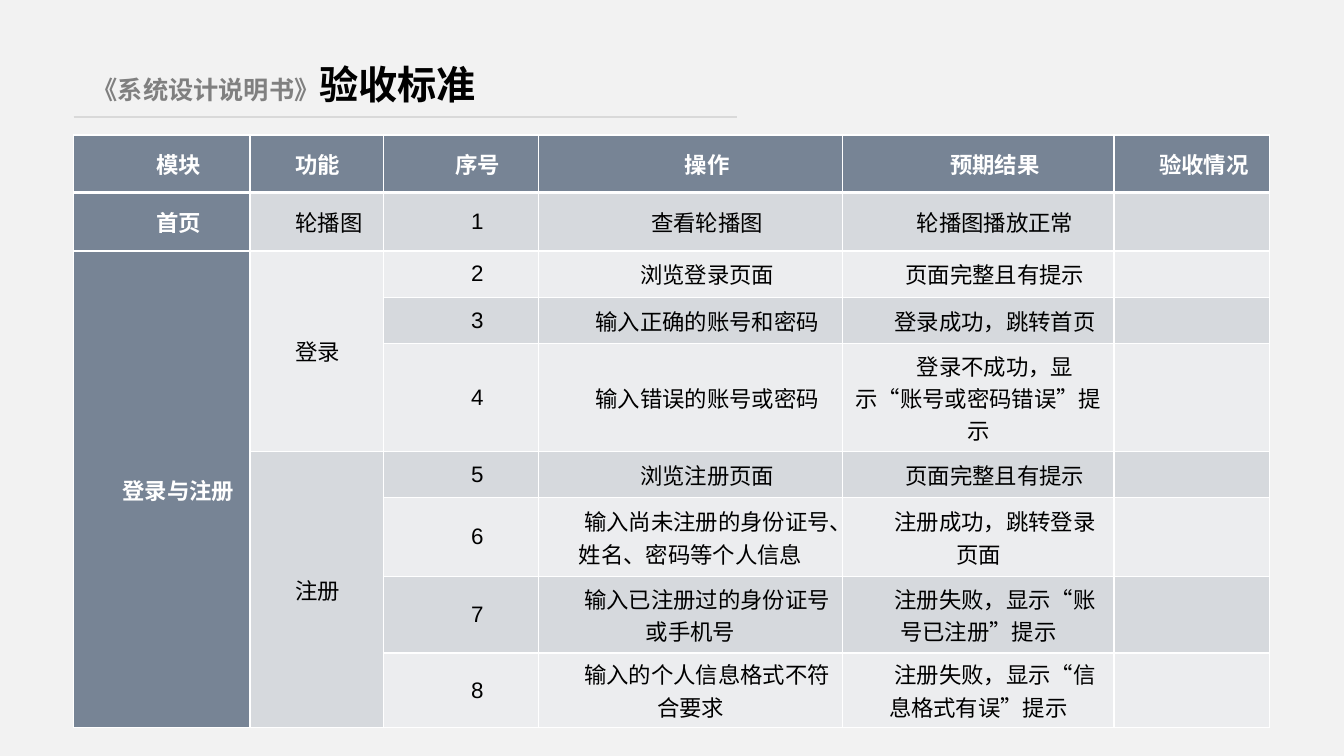
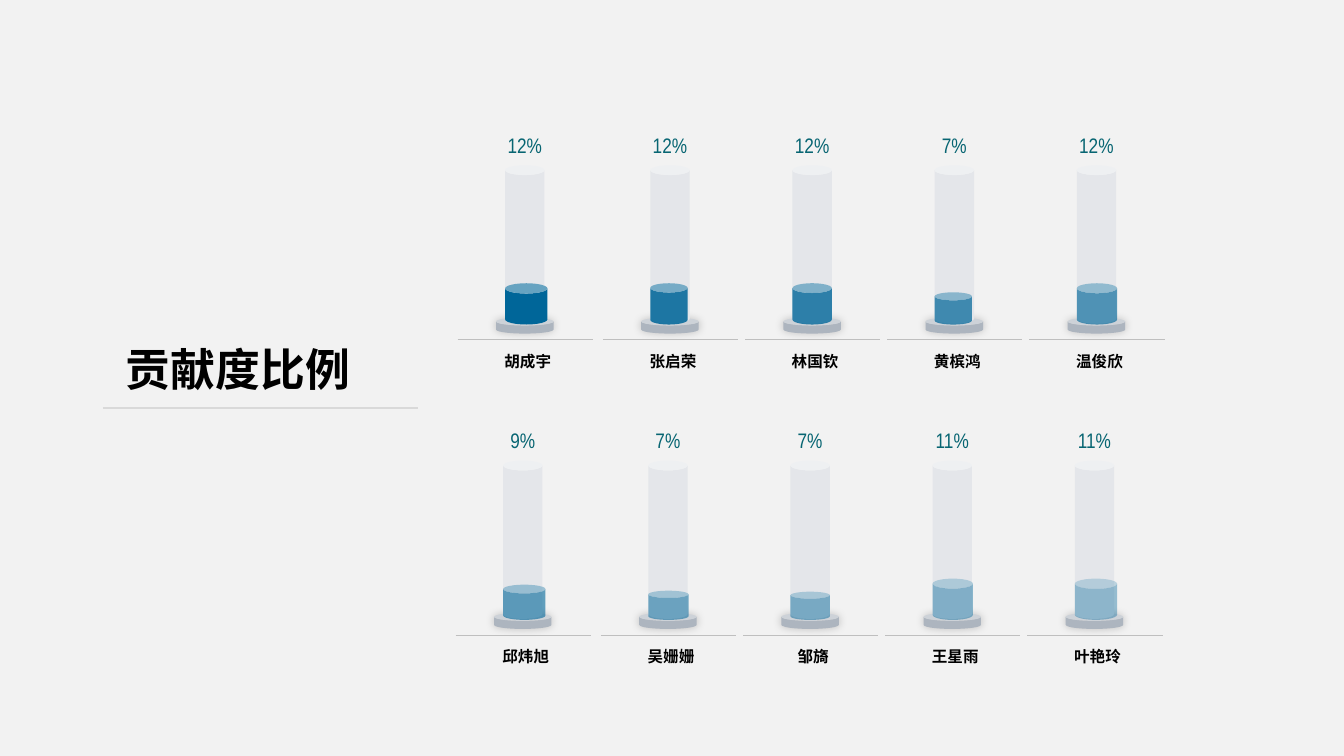
from dataclasses import dataclass
from typing import Any, NamedTuple

from lxml import etree
from pptx import Presentation, util as u
from pptx.dml.color import RGBColor
from pptx.enum import shapes, text
from pptx.oxml import ns

COLOURS = {
    "page": "F2F2F2", "rule": "D9D9D9", "ink": "000000", "muted": "808080",
    "white": "FFFFFF", "header": "778495", "dark_band": "D6D9DD",
    "light_band": "ECEDEF", "base": "ADB5BF", "tube": "E4E6EA",
    "level": "006699", "percent": "076572", "divider": "BFBFBF",
}
CENTER = text.PP_ALIGN.CENTER
MIDDLE = text.MSO_ANCHOR.MIDDLE


class Box(NamedTuple):
    left: float
    top: float
    width: float
    height: float

    def lengths(self) -> list[int]:
        return [u.Inches(value) for value in self]


@dataclass
class Span:
    words: str
    size: float
    colour: str = "ink"
    bold: bool = True
    font: str = "Arial"


@dataclass
class Member:
    name: str
    percent: int
    width: float
    height: float
    opacity: int


HEADINGS = ["模块", "功能", "序号", "操作", "预期结果", "验收情况"]
CHECKS = [
    ("查看轮播图", "轮播图播放正常"),
    ("浏览登录页面", "页面完整且有提示"),
    ("输入正确的账号和密码", "登录成功，跳转首页"),
    ("输入错误的账号或密码", "登录不成功，显示“账号或密码错误”提示"),
    ("浏览注册页面", "页面完整且有提示"),
    ("输入尚未注册的身份证号、姓名、密码等个人信息", "注册成功，跳转登录页面"),
    ("输入已注册过的身份证号或手机号", "注册失败，显示“账号已注册”提示"),
    ("输入的个人信息格式不符合要求", "注册失败，显示“信息格式有误”提示"),
]
MODULES = {1: "首页", 2: "登录与注册"}
FEATURES = {1: "轮播图", 2: "登录", 5: "注册"}
MERGES = [(2, 8, 0), (2, 4, 1), (5, 8, 1)]
COLUMN_WIDTHS = [1.75, 1.32, 1.54, 3.02, 2.69, 1.54]
ROW_HEIGHTS = [0.57, 0.58, 0.46, 0.46, 1.07, 0.46, 0.78, 0.76, 0.74]

TEAM = [
    [Member("胡成宇", 12, 0.42, 0.41, 100), Member("张启荣", 12, 0.37, 0.41, 87),
     Member("林国钦", 12, 0.39, 0.41, 80), Member("黄槟鸿", 7, 0.37, 0.32, 72),
     Member("温俊欣", 12, 0.4, 0.41, 65)],
    [Member("邱炜旭", 9, 0.42, 0.35, 60), Member("吴姗姗", 7, 0.4, 0.29, 53),
     Member("邹旖", 7, 0.39, 0.28, 47), Member("王星雨", 11, 0.4, 0.41, 43),
     Member("叶艳玲", 11, 0.42, 0.41, 38)],
]


def rgb(name: str) -> RGBColor:
    return RGBColor.from_string(COLOURS[name])


def apply(target: Any, values: dict[str, Any]) -> None:
    for name, value in values.items():
        setattr(target, name, value)


def child(parent: Any, tag: str, **attributes: Any) -> Any:
    values = {name: str(value) for name, value in attributes.items()}
    return etree.SubElement(parent, ns.qn(tag), values)


def paint(target: Any, colour: str) -> None:
    target.fill.solid()
    target.fill.fore_color.rgb = rgb(colour)


def write(para: Any, spans: list[Span], indent: float = 0) -> None:
    if indent:
        properties = para._p.get_or_add_pPr()
        properties.set("marL", "0")
        properties.set("indent", str(u.Inches(indent)))
    for span in spans:
        run = para.add_run()
        run.text = span.words
        apply(run.font, {"size": u.Pt(span.size), "name": span.font, "bold": span.bold})
        run.font.color.rgb = rgb(span.colour)


def add_page(deck: Any) -> Any:
    page = deck.slides.add_slide(deck.slide_layouts[6])
    paint(page.background, "page")
    return page


def add_rule(parent: Any, start: float, end: float, top: float,
             colour: str = "rule", width: float = 1.5) -> None:
    line = parent.shapes.add_connector(
        shapes.MSO_CONNECTOR.STRAIGHT,
        u.Inches(start), u.Inches(top), u.Inches(end), u.Inches(top))
    line.line.color.rgb = rgb(colour)
    line.line.width = u.Pt(width)
    child(line._element.spPr, "a:effectLst")


def add_title(page: Any, box: Box, spans: list[Span], indent: float) -> None:
    frame = page.shapes.add_textbox(*box.lengths()).text_frame
    apply(frame, {"word_wrap": True, "vertical_anchor": text.MSO_ANCHOR.BOTTOM})
    para = frame.paragraphs[0]
    para.line_spacing = 0.9
    write(para, spans, indent)


def add_label(parent: Any, box: Box, span: Span, anchor: Any) -> None:
    frame = parent.shapes.add_textbox(*box.lengths()).text_frame
    apply(frame, {"margin_left": 0, "margin_right": 0, "margin_top": 0,
                  "margin_bottom": 0, "word_wrap": False, "vertical_anchor": anchor})
    para = frame.paragraphs[0]
    para.alignment = CENTER
    write(para, [span])


def add_can(parent: Any, box: Box, colour: str, opacity: int = 100) -> Any:
    can = parent.shapes.add_shape(shapes.MSO_SHAPE.CAN, *box.lengths())
    can.shadow.inherit = False
    paint(can, colour)
    can.line.fill.background()
    if opacity < 100:
        tint = can._element.spPr.find(ns.qn("a:solidFill"))[0]
        child(tint, "a:alpha", val=opacity * 1000)
    return can


def add_base(parent: Any, box: Box) -> None:
    base = add_can(parent, box, "base")
    base.adjustments[0] = 0.5
    effects = base._element.spPr.find(ns.qn("a:effectLst"))
    shadow = child(effects, "a:outerShdw", blurRad=u.Pt(6), dist=0, dir=225 * 60000)
    tint = child(shadow, "a:srgbClr", val=COLOURS["ink"])
    child(tint, "a:alpha", val=20000)


def add_borders(cell: Any, bottom: float) -> None:
    properties = cell._tc.get_or_add_tcPr()
    widths = {"a:lnL": 1, "a:lnR": 1, "a:lnT": 1, "a:lnB": bottom}
    for place, (tag, width) in enumerate(widths.items()):
        border = child(properties, tag, w=u.Pt(width))
        child(child(border, "a:solidFill"), "a:srgbClr", val=COLOURS["white"])
        properties.insert(place, border)


def cell_words(row: int, column: int) -> str:
    if row == 0:
        return HEADINGS[column]
    action, result = CHECKS[row - 1]
    return [MODULES.get(row, ""), FEATURES.get(row, ""), str(row), action, result, ""][column]


def fill_cell(cell: Any, row: int, column: int) -> None:
    heading = row == 0 or column == 0
    paint(cell, "header" if heading else "dark_band" if row % 2 else "light_band")
    add_borders(cell, 3 if row == 0 else 1)
    apply(cell, {"margin_left": u.Inches(0.12), "margin_right": u.Inches(0.12),
                 "margin_top": u.Inches(0.05), "margin_bottom": u.Inches(0.05),
                 "vertical_anchor": MIDDLE})
    words = cell_words(row, column)
    if words:
        para = cell.text_frame.paragraphs[0]
        if column not in (1, 5):
            para.alignment = CENTER
        write(para, [Span(words, 16, "white" if heading else "ink", heading)], 0.33)


def build_acceptance(deck: Any) -> None:
    page = add_page(deck)
    add_title(page, Box(0.73, 0.29, 5.32, 0.83),
              [Span("《系统设计说明书》", 18, "muted"), Span("验收标准", 28)], 0.09)
    add_rule(page, 0.73, 7.31, 1.16)
    box = Box(0.73, 1.34, sum(COLUMN_WIDTHS), sum(ROW_HEIGHTS))
    table = page.shapes.add_table(
        len(ROW_HEIGHTS), len(COLUMN_WIDTHS), *box.lengths()).table
    for column, width in zip(table.columns, COLUMN_WIDTHS):
        column.width = u.Inches(width)
    for row, height in enumerate(ROW_HEIGHTS):
        table.rows[row].height = u.Inches(height)
        for column in range(len(COLUMN_WIDTHS)):
            fill_cell(table.cell(row, column), row, column)
    for first, last, column in MERGES:
        table.cell(first, column).merge(table.cell(last, column))


def add_member(page: Any, member: Member, left: float, top: float) -> None:
    group = page.shapes.add_group_shape()
    add_base(group, Box(left, top + 1.79, 0.57, 0.16))
    add_can(group, Box(left + 0.09, top + 0.28, 0.39, 1.57), "tube")
    level = Box(left + 0.09, top + 1.86 - member.height, member.width, member.height)
    add_can(group, level, "level", member.opacity)
    add_label(group, Box(left - 0.03, top, 0.63, 0.16),
              Span(f"{member.percent}%", 15, "percent", False, "Arial Narrow"), MIDDLE)
    add_label(group, Box(left - 0.36, top + 2.13, 1.35, 0.16),
              Span(member.name, 11.1), text.MSO_ANCHOR.TOP)
    add_rule(group, left - 0.38, left + 0.96, top + 2.01, "divider", 0.25)


def build_contribution(deck: Any) -> None:
    page = add_page(deck)
    for row, members in enumerate(TEAM):
        for column, member in enumerate(members):
            left = 4.92 if column == 0 else 4.95 + 1.41 * column
            add_member(page, member, left - 0.02 * row, 1.36 + 2.93 * row)
    add_title(page, Box(0.94, 3.15, 2.77, 0.83), [Span("贡献度比例", 32)], 0.21)
    add_rule(page, 1.02, 4.15, 4.05)


def main() -> None:
    deck = Presentation()
    apply(deck, {"slide_width": u.Inches(13.33), "slide_height": u.Inches(7.5)})
    build_acceptance(deck)
    build_contribution(deck)
    deck.save("out.pptx")


if __name__ == "__main__":
    main()
